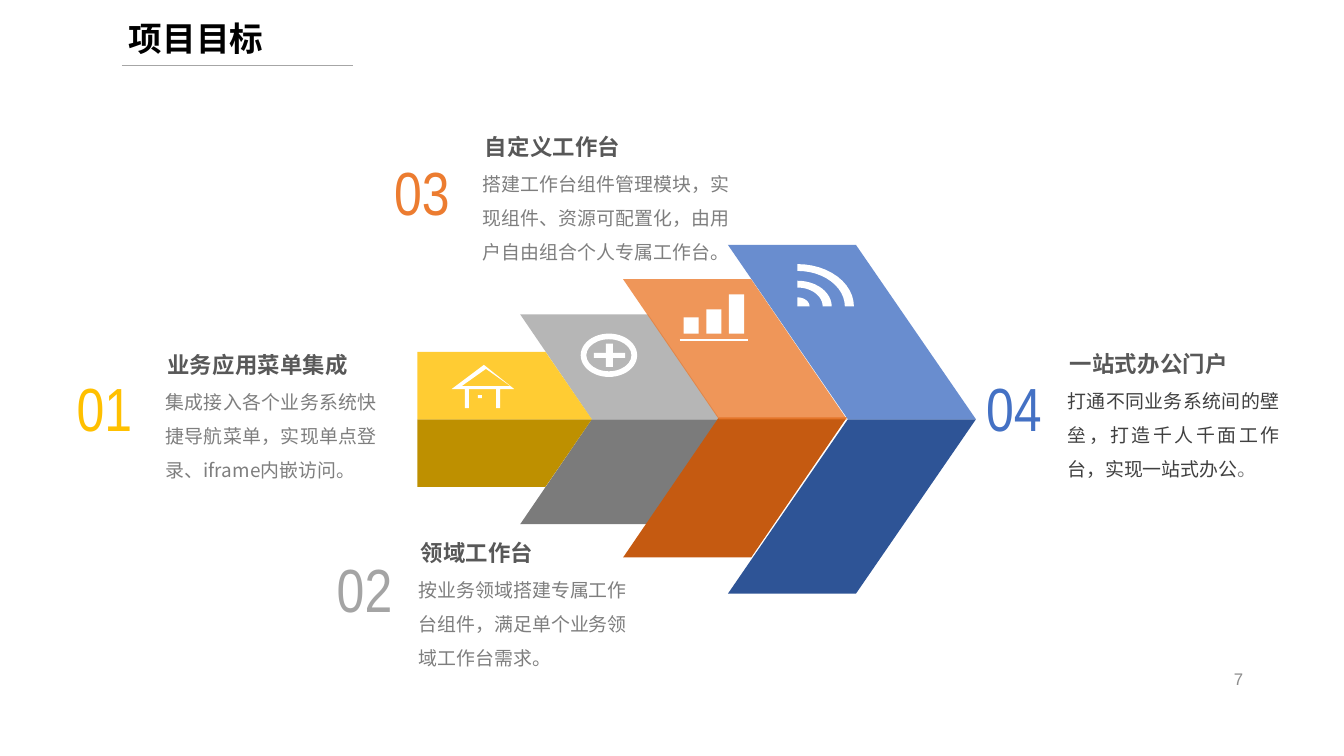
from dataclasses import dataclass
from math import cos, pi, sin

from lxml import etree
from pptx import Presentation
from pptx import util as u
from pptx.dml.color import RGBColor
from pptx.enum import shapes, text
from pptx.oxml.ns import qn


@dataclass(frozen=True)
class Theme:
    sans: str = "Noto Sans CJK SC"
    narrow: str = "Arial Narrow"
    plain: str = "Arial"
    white: str = "FFFFFF"
    black: str = "000000"
    rule: str = "A6A6A6"
    heading: str = "585858"
    body: str = "7E7E7E"
    dark_body: str = "404040"
    page: str = "8C8C8C"
    gold: str = "FFC000"
    dark_gold: str = "BE9000"
    gray: str = "A4A4A4"
    dark_gray: str = "7B7B7B"
    orange: str = "EC7C30"
    dark_orange: str = "C55A11"
    blue: str = "4471C4"
    dark_blue: str = "2E5496"
    title_size: float = 24
    number_size: float = 43.5
    heading_size: float = 16
    body_size: float = 13.5
    page_size: float = 12


theme = Theme()
prs = Presentation()
prs.slide_width, prs.slide_height = u.Inches(13.33), u.Inches(7.5)
s = prs.slides.add_slide(prs.slide_layouts[6])


def add_outline(contours, color, alpha=None):
    """Fill one freeform made of closed contours given in inches."""
    contours = [[(u.Inches(x), u.Inches(y)) for x, y in c] for c in contours]
    fb = s.shapes.build_freeform(*contours[0][0])
    fb.add_line_segments(contours[0][1:], close=True)
    for contour in contours[1:]:
        fb.move_to(*contour[0])
        fb.add_line_segments(contour[1:], close=True)
    sp = fb.convert_to_shape()
    sp.shadow.inherit = False
    sp.line.fill.background()
    sp.fill.solid()
    sp.fill.fore_color.rgb = RGBColor.from_string(color)
    if alpha:
        clr = sp._element.spPr.find(".//" + qn("a:srgbClr"))
        etree.SubElement(clr, qn("a:alpha")).set("val", str(alpha * 1000))


def add_text(box, paragraphs, inset=(0, 0), wrap=True):
    """Place paragraphs of (content, font, size, colour, bold, spacing)."""
    tf = s.shapes.add_textbox(*map(u.Inches, box)).text_frame
    tf.word_wrap = wrap
    tf.margin_left = tf.margin_right = u.Inches(inset[0])
    tf.margin_top, tf.margin_bottom = u.Inches(inset[1]), 0
    for i, (content, face, size, color, bold, spacing) in enumerate(paragraphs):
        p = tf.paragraphs[0] if i == 0 else tf.add_paragraph()
        p.add_run().text = content
        p.font.name, p.font.size, p.font.bold = face, u.Pt(size), bold
        p.font.color.rgb = RGBColor.from_string(color)
        props = p._p.pPr.find(qn("a:defRPr"))
        props.set("spc", str(spacing))
        etree.SubElement(props, qn("a:ea")).set("typeface", face)
    return tf


# Bands: left, top, inner corner x, tip x, bottom, lower-half middle, colours
MIDDLE, BAND_WIDTH = 4.16, 1.27
bands = [
    (7.22, 2.43, 8.41, 9.68, 5.89, MIDDLE, theme.blue, theme.dark_blue),
    (5.16, 3.12, 5.87, 7.14, 5.20, MIDDLE, theme.gray, theme.dark_gray),
    (4.14, 3.49, 4.14, 5.87, 4.83, MIDDLE, theme.gold, theme.dark_gold),
    (6.18, 2.77, 7.13, 8.40, 5.53, 4.14, theme.orange, theme.dark_orange),
]
for left, top, corner, tip, bottom, low_middle, light, dark in bands:
    right = left + BAND_WIDTH
    add_outline([[(tip, low_middle), (corner, low_middle),
                  (left, bottom), (right, bottom)]], dark)
    add_outline([[(right, top), (left, top),
                  (corner, MIDDLE), (tip, MIDDLE)]], light, 80)

# Signal icon: quarter rings around the lower-left corner
quarter = [i * pi / 24 for i in range(13)]
rings = []
for outer, inner in [(0.56, 0.47), (0.34, 0.25), (0.12, 0)]:
    arc = [(7.91 + outer * cos(a), 3.04 - 0.75 * outer * sin(a)) for a in quarter]
    arc += [(7.91 + inner * cos(a), 3.04 - 0.75 * inner * sin(a))
            for a in reversed(quarter)]
    rings.append(arc)
add_outline(rings, theme.white)

# House icon: hollow roof, two posts and a knob
house = [[(4.48, 3.86), (4.8, 3.62), (5.1, 3.86)],
         [(4.58, 3.83), (4.82, 3.66), (5.06, 3.83)]]
for x, y, w, h in [(4.61, 3.86, 0.04, 0.19), (4.92, 3.86, 0.04, 0.19),
                   (4.74, 3.92, 0.04, 0.03)]:
    house.append([(x, y), (x + w, y), (x + w, y + h), (x, y + h)])
add_outline(house, theme.white)

# Plus icon and bar icon
rect, donut = shapes.MSO_SHAPE.RECTANGLE, shapes.MSO_SHAPE.DONUT
icon_parts = [(donut, 5.76, 3.31, 0.56, 0.43), (rect, 5.89, 3.5, 0.31, 0.05),
              (rect, 6.01, 3.41, 0.07, 0.23)]
for i, height in enumerate([0.16, 0.24, 0.39]):
    icon_parts.append((rect, 6.78 + 0.225 * i, 3.31 - height, 0.15, height))
for kind, *box in icon_parts:
    sp = s.shapes.add_shape(kind, *map(u.Inches, box))
    sp.shadow.inherit = False
    sp.line.fill.background()
    sp.fill.solid()
    sp.fill.fore_color.rgb = RGBColor.from_string(theme.white)
    if kind == donut:
        sp.adjustments[0] = 0.13

# Title rule and bar-icon baseline
for x1, x2, y, color, width in [(1.21, 3.5, 0.65, theme.rule, 0.5),
                                (6.74, 7.42, 3.37, theme.white, 1.22)]:
    line = s.shapes.add_connector(shapes.MSO_CONNECTOR.STRAIGHT, u.Inches(x1),
                                  u.Inches(y), u.Inches(x2), u.Inches(y))
    line.line.color.rgb = RGBColor.from_string(color)
    line.line.width = u.Pt(width)
    etree.SubElement(line._element.spPr, qn("a:effectLst"))

# Goals: number, its colour, number place, text box, heading, body, ending, justified
goals = [
    ("04", theme.blue, (9.78, 3.67), (10.59, 3.31, 2.1), "一站式办公门户",
     "打通不同业务系统间的壁垒，打造千人千面工作台，实现一站式办公", "。", True),
    ("03", theme.orange, (3.91, 1.52), (4.79, 1.16, 2.6), "自定义工作台",
     "搭建工作台组件管理模块，实现组件、资源可配置化，由用户自由组合个人专属工作台。", "", False),
    ("02", theme.gray, (3.34, 5.46), (4.15, 5.19, 2.1), "领域工作台",
     "按业务领域搭建专属工作台组件，满足单个业务领域工作台需求。", "", False),
    ("01", theme.gold, (0.76, 3.67), (1.64, 3.32, 2.1), "业务应用菜单集成",
     "集成接入各个业务系统快捷导航菜单，实现单点登录、iframe内嵌访问。", "", True),
]
for number, color, place, box, heading, body, ending, justified in goals:
    add_text((*place, 0.7, 0.75),
             [(number, theme.narrow, theme.number_size, color, False, 0)], (0, 0.01))
    body_color, spacing = (theme.dark_body, 0) if ending else (theme.body, 10)
    tf = add_text((*box, 1.47), [
        (heading, theme.sans, theme.heading_size, theme.heading, True, 20),
        (body, theme.sans, theme.body_size, body_color, False, spacing)], (0, 0.16))
    tf.paragraphs[0]._p.pPr.set("marL", str(u.Inches(0.02)))
    p = tf.paragraphs[1]
    p.line_spacing, p.space_before = 1.51, u.Pt(0.7)
    if justified:
        p.alignment = text.PP_ALIGN.JUSTIFY
    if ending:
        p._p.pPr.set("hangingPunct", "0")
        r = p.add_run()
        r.text = ending
        r.font.color.rgb = RGBColor.from_string(theme.body)

tf = add_text((9.33, 6.54, 3, 0.4),
              [("7", theme.plain, theme.page_size, theme.page, False, 0)])
tf.vertical_anchor = text.MSO_ANCHOR.MIDDLE
tf.paragraphs[0].alignment = text.PP_ALIGN.RIGHT
tf.paragraphs[0].line_spacing = u.Pt(13.2)

add_text((1.18, 0.13, 1.53, 0.5),
         [("项目目标", theme.sans, theme.title_size, theme.black, True, 0)],
         (0.1, 0.05), wrap=False)

prs.save("out.pptx")
